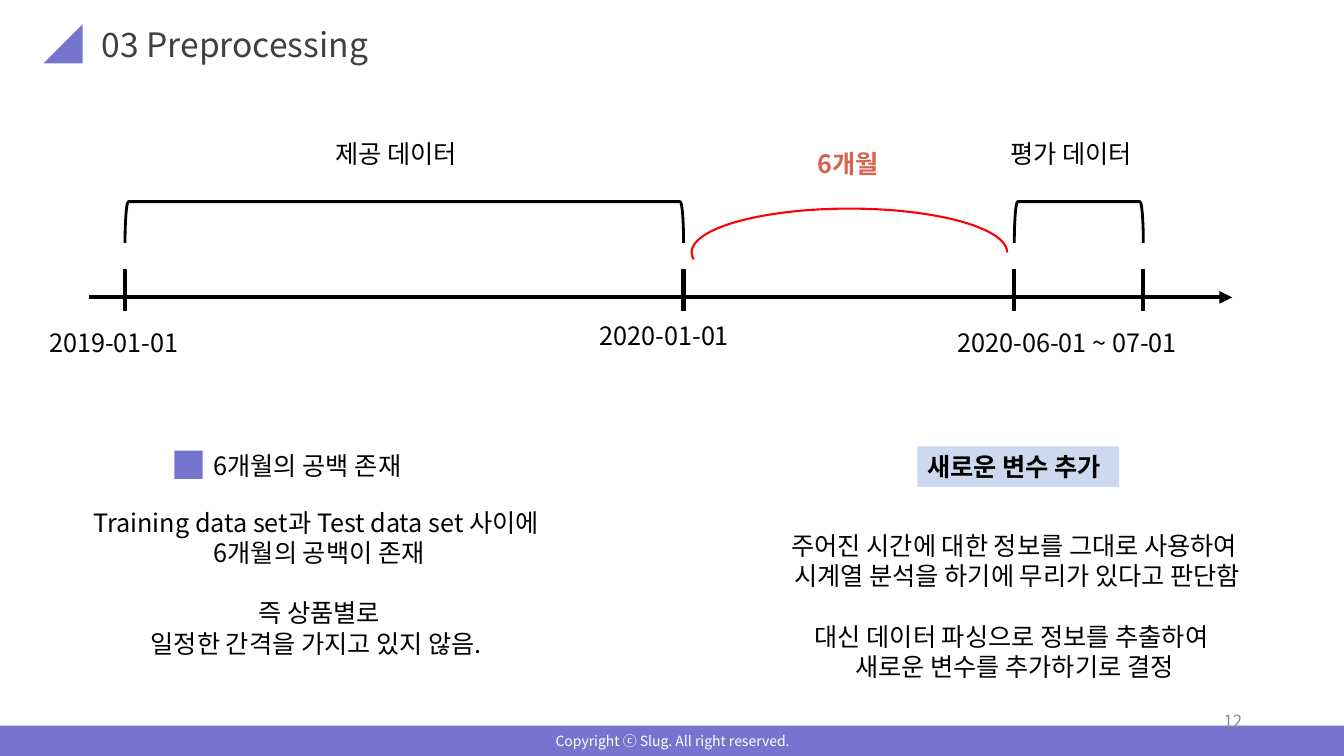
from pptx import Presentation
from pptx.dml.color import RGBColor
from pptx.enum.shapes import MSO_CONNECTOR, MSO_SHAPE
from pptx.enum.text import MSO_ANCHOR, PP_ALIGN
from pptx.oxml.ns import qn
from pptx.util import Pt
from lxml import etree

PX = 9144
FONT = "Noto Sans CJK KR"
BLACK = RGBColor(0, 0, 0)
WHITE = RGBColor(255, 255, 255)
VIOLET = RGBColor(0x75, 0x75, 0xCF)
CHARCOAL = RGBColor(0x40, 0x40, 0x40)
CORAL = RGBColor(0xDB, 0x62, 0x4F)
RED = RGBColor(255, 0, 0)
PALE_BLUE = RGBColor(0xB4, 0xC7, 0xE7)
GREY = RGBColor(0x8C, 0x8C, 0x8C)
RECTANGLE = MSO_SHAPE.RECTANGLE
TRIANGLE = MSO_SHAPE.RIGHT_TRIANGLE
BRACKET = MSO_SHAPE.RIGHT_BRACKET
ARC = MSO_SHAPE.ARC
STRAIGHT = MSO_CONNECTOR.STRAIGHT
LEFT, CENTER, RIGHT = PP_ALIGN.LEFT, PP_ALIGN.CENTER, PP_ALIGN.RIGHT
TOP, MIDDLE = MSO_ANCHOR.TOP, MSO_ANCHOR.MIDDLE
LINE_GAP = Pt(21.6)


def scaled(*lengths):
    return [round(length * PX) for length in lengths]


def write(shape, lines, align=LEFT, anchor=TOP, wrap=True, gap_before=None, **changes):
    formats = {"size": Pt(18), "name": FONT, "bold": False} | changes
    color = formats.pop("color", BLACK)
    frame = shape.text_frame
    frame.word_wrap = wrap
    frame.vertical_anchor = anchor
    for index, line in enumerate(lines):
        para = frame.paragraphs[0] if index == 0 else frame.add_paragraph()
        para.alignment = align
        if index == gap_before:
            para.space_before = LINE_GAP
        span = para.add_run()
        span.text = line
        for name, value in formats.items():
            setattr(span.font, name, value)
        span.font.color.rgb = color
        latin = span.font._element.find(qn("a:latin"))
        east_asian = etree.Element(qn("a:ea"), typeface=FONT)
        latin.addnext(east_asian)


def add_text(page, box, *lines, **formats):
    write(page.shapes.add_textbox(*scaled(*box)), lines, **formats)


def add_block(page, kind, box, fill=None, line=None, width=0, rotation=0):
    shape = page.shapes.add_shape(kind, *scaled(*box))
    shape.shadow.inherit = False
    shape.rotation = rotation
    if fill is None:
        shape.fill.background()
    else:
        shape.fill.solid()
        shape.fill.fore_color.rgb = fill
    if line is None:
        shape.line.fill.background()
    else:
        shape.line.color.rgb = line
        shape.line.width = Pt(width)
    return shape


def add_line(page, start, end, arrow=False):
    line = page.shapes.add_connector(STRAIGHT, *scaled(*start, *end))
    line.line.color.rgb = BLACK
    line.line.width = Pt(3)
    if arrow:
        etree.SubElement(line.line._get_or_add_ln(), qn("a:tailEnd"), type="triangle")
    etree.SubElement(line._element.spPr, qn("a:effectLst"))


def add_span_bracket(page, left, top, width, height):
    frame_left = left + (width - height) / 2
    frame_top = top + (height - width) / 2
    add_block(page, BRACKET, (frame_left, frame_top, height, width),
              line=BLACK, width=2, rotation=270)


def add_footer(page, left, top, width, height):
    add_block(page, RECTANGLE, (left, top, width, height), fill=VIOLET)
    add_text(page, (left + 490, top + 2, 354, 27), "Copyright ⓒ Slug. All right reserved.",
             align=CENTER, size=Pt(10), color=WHITE)


def add_heading(page, left, top, width, height):
    add_block(page, TRIANGLE, (left, top + 5, 39, 39), fill=VIOLET, rotation=270)
    add_text(page, (left + 48, top, width - 48, height), "03 Preprocessing",
             size=Pt(24), color=CHARCOAL)


def add_timeline(page, left, top, width, height):
    axis = top + 163
    train_start, train_end, test_start, test_end = ticks = [
        left + offset for offset in (36, 590, 918, 1046)]
    add_line(page, (left, axis), (left + width, axis), arrow=True)
    for tick in ticks:
        add_line(page, (tick, axis - 28), (tick, axis + 14))

    date_top = top + height - 40
    for date, date_left, date_y, date_width in (
            ("2019-01-01", left - 49, date_top, 177),
            ("2020-01-01", left + 497, date_top - 7, 186),
            ("2020-06-01 ~ 07-01", left + 852, date_top, 294)):
        add_text(page, (date_left, date_y, date_width, 40), date)

    for label, label_left, start, end in (
            ("제공 데이터", left + 235, train_start, train_end),
            ("평가 데이터", left + 904, test_start, test_end)):
        add_span_bracket(page, start, top + 68, end - start, 41)
        add_text(page, (label_left, top, 157, 40), label)

    gap_arc = add_block(page, ARC, (train_end + 8, top + 75, 313, 87), line=RED, width=1.5)
    gap_arc.adjustments[0] = 106.479
    gap_arc.adjustments[1] = 0
    add_text(page, (left + 713, top + 10, 202, 40), "6개월", bold=True, color=CORAL)


def add_problem(page, left, top, width, height):
    add_block(page, RECTANGLE, (left + 103, top + 5, 28, 28), fill=VIOLET)
    add_text(page, (left + 132, top, 229, 40), "6개월의 공백 존재")
    add_text(page, (left, top + 56, width, height - 56),
             "Training data set과 Test data set 사이에 ", "6개월의 공백이 존재",
             "즉 상품별로", "일정한 간격을 가지고 있지 않음. ",
             align=CENTER, gap_before=2)


def add_solution(page, left, top, width, height):
    tag = add_block(page, RECTANGLE, (left + 168, top, 200, 40), fill=PALE_BLUE)
    tint = tag._element.spPr.find(qn("a:solidFill"))[0]
    etree.SubElement(tint, qn("a:alpha"), val="68000")
    write(tag, ["새로운 변수 추가"], wrap=False, bold=True)
    add_text(page, (left, top + 78, width, height - 78),
             "주어진 시간에 대한 정보를 그대로 사용하여",
             " 시계열 분석을 하기에 무리가 있다고 판단함",
             "대신 데이터 파싱으로 정보를 추출하여 ", "새로운 변수를 추가하기로 결정",
             align=CENTER, wrap=False, gap_before=2)


def add_page_number(page, left, top, width, height):
    add_text(page, (left, top, width, height), "12",
             align=RIGHT, anchor=MIDDLE, size=Pt(12), color=GREY)


def main():
    deck = Presentation()
    deck.slide_width, deck.slide_height = scaled(1333, 750)
    page = deck.slides.add_slide(deck.slide_layouts[6])
    add_footer(page, 0, 720, 1333, 30)
    add_heading(page, 43, 19, 624, 50)
    add_timeline(page, 88, 132, 1134, 228)
    add_problem(page, 70, 442, 493, 218)
    add_solution(page, 742, 443, 528, 270)
    add_page_number(page, 942, 695, 300, 40)
    deck.save("out.pptx")


if __name__ == "__main__":
    main()
